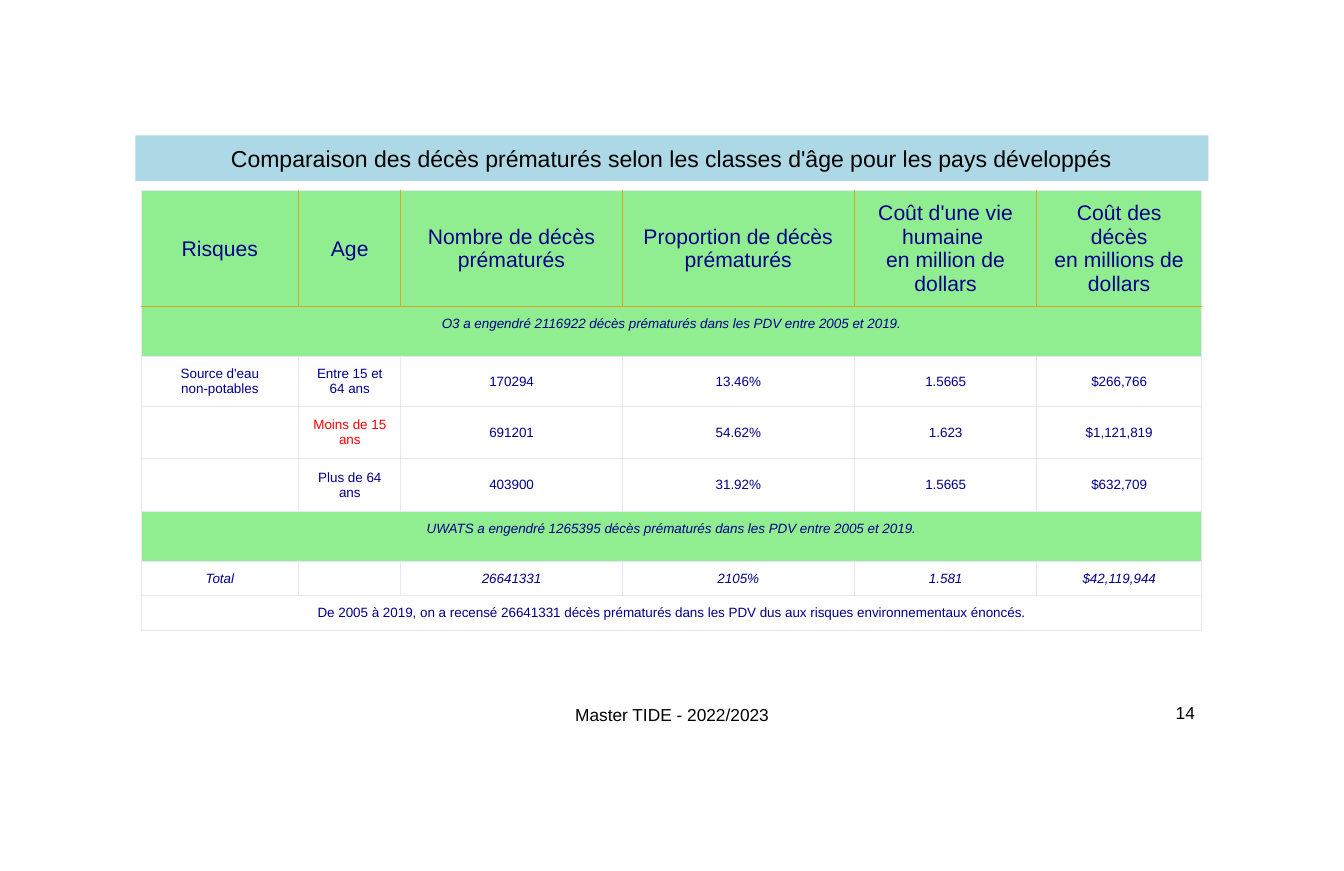
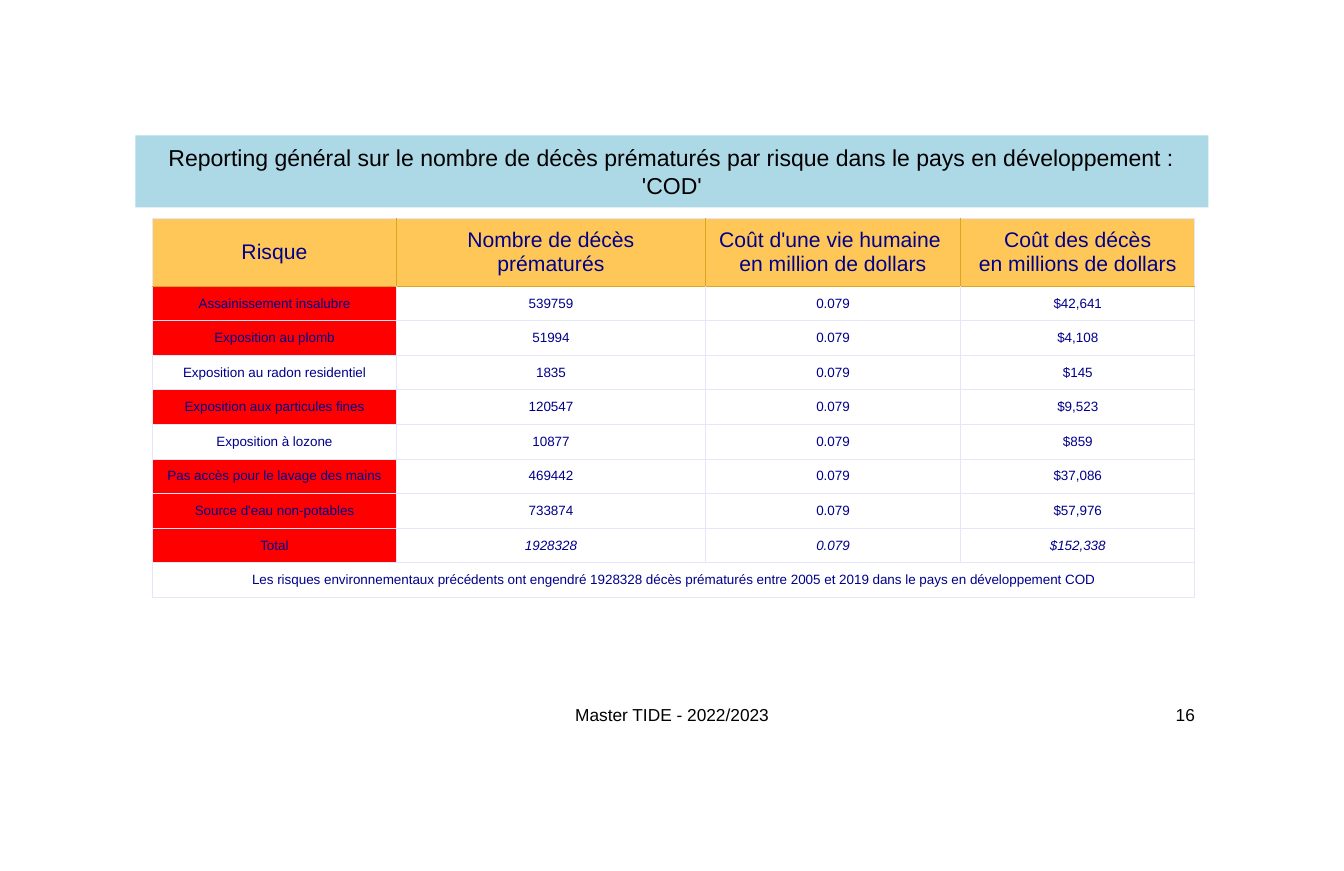
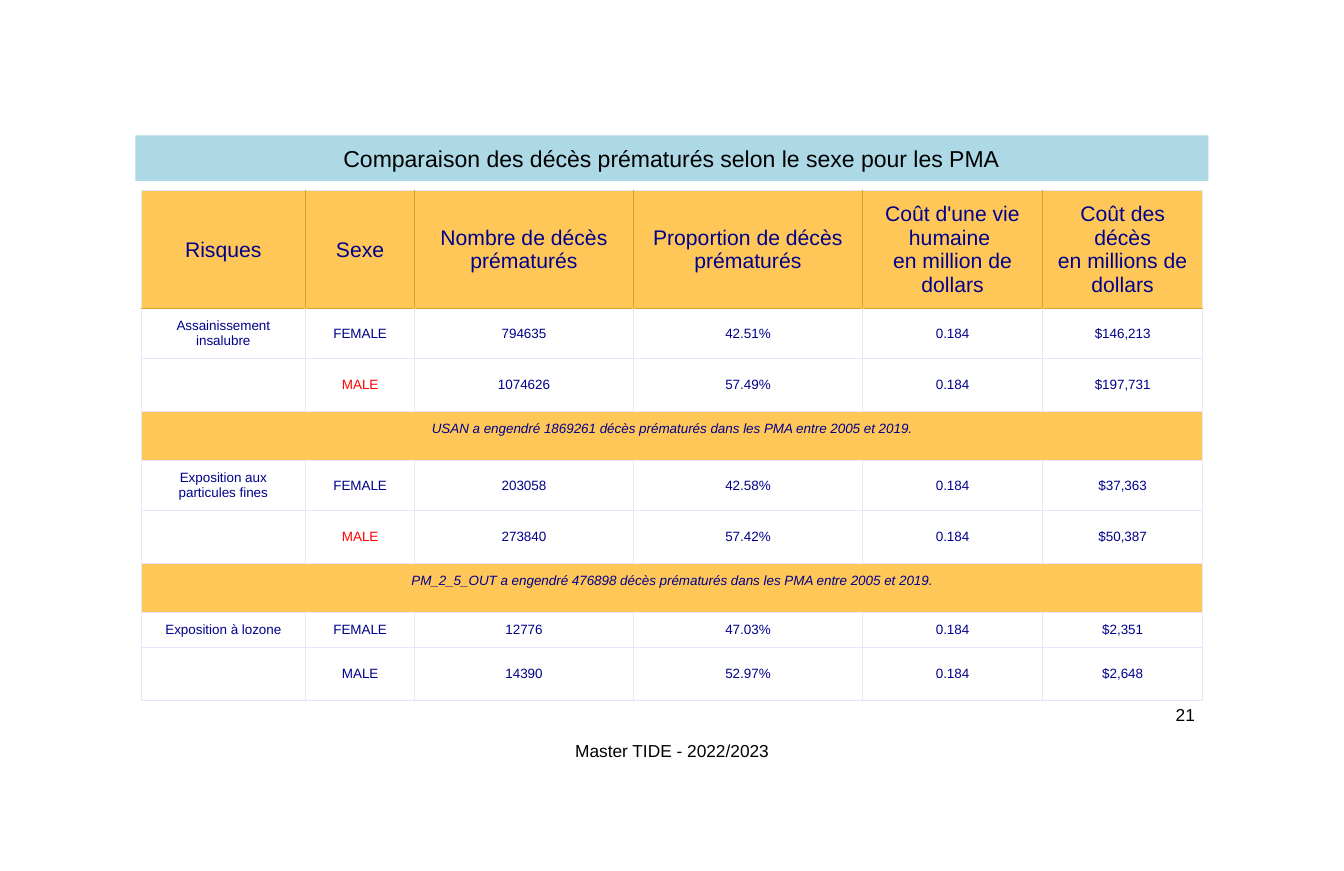
from dataclasses import dataclass

from lxml import etree
from pptx import Presentation
from pptx.dml.color import RGBColor
from pptx.enum.shapes import MSO_SHAPE
from pptx.enum.text import MSO_ANCHOR, PP_ALIGN
from pptx.oxml.ns import qn
from pptx.util import Inches, Pt

RECT = MSO_SHAPE.RECTANGLE
MIDDLE, TOP = MSO_ANCHOR.MIDDLE, MSO_ANCHOR.TOP
CENTER, RIGHT = PP_ALIGN.CENTER, PP_ALIGN.RIGHT

BLACK = RGBColor(0x00, 0x00, 0x00)
NAVY = RGBColor(0x00, 0x00, 0x8B)
RED = RGBColor(0xFF, 0x00, 0x00)
SKY = RGBColor(0xAD, 0xD8, 0xE6)
GREEN = RGBColor(0x90, 0xEE, 0x90)
AMBER = RGBColor(0xFF, 0xC7, 0x57)
GOLD = RGBColor(0xDA, 0xA5, 0x20)
PALE = RGBColor(0xE6, 0xE6, 0xFA)

FONT = "Arial"
FOOTER = "Master TIDE - 2022/2023"
LEFT, WIDTH = 0.98, 7.76
SIDE, EDGE, LINE = 0.07, 0.06, 0.11


@dataclass
class Row:
    high: float
    cells: list[str]
    band: bool = False
    slant: bool = False
    alert: bool = False
    flag: bool = False


@dataclass
class Page:
    title: str
    deep: float
    left: float
    top: float
    tint: RGBColor
    cols: list[float]
    rows: list[Row]
    number: str
    anchor: MSO_ANCHOR = MIDDLE
    foot: float = 5.03


def write(frame, text: str, size: float, color: RGBColor,
          align: PP_ALIGN = CENTER, slant: bool = False) -> None:
    para = frame.paragraphs[0]
    para.alignment = align
    for i, line in enumerate(text.split("\n") if text else []):
        if i:
            para.add_line_break()
        run = para.add_run()
        run.text = line
        font = run.font
        font.name, font.size, font.italic = FONT, Pt(size), slant
        font.color.rgb = color
    if not text:
        etree.SubElement(para._p, qn("a:endParaRPr"), sz=str(int(size * 100)))


def border(cell, side: str, color: RGBColor) -> None:
    line = etree.SubElement(cell._tc.get_or_add_tcPr(), qn("a:ln" + side),
                            w=str(Pt(0.5)))
    fill = etree.SubElement(line, qn("a:solidFill"))
    etree.SubElement(fill, qn("a:srgbClr"), val=str(color))


def paint(cell, color: RGBColor | None) -> None:
    if color is None:
        cell.fill.background()
    else:
        cell.fill.solid()
        cell.fill.fore_color.rgb = color


def label(slide, text: str, left: float, top: float, width: float,
          align: PP_ALIGN, anchor: MSO_ANCHOR) -> None:
    box = slide.shapes.add_textbox(Inches(left), Inches(top),
                                   Inches(width), Inches(0.28))
    frame = box.text_frame
    frame.word_wrap = True
    frame.vertical_anchor = anchor
    write(frame, text, 9, BLACK, align)


def banner(slide, page: Page) -> None:
    shape = slide.shapes.add_shape(RECT, Inches(LEFT), Inches(0.98),
                                   Inches(WIDTH), Inches(page.deep))
    shape.shadow.inherit = False
    shape.fill.solid()
    shape.fill.fore_color.rgb = SKY
    shape.line.fill.background()
    frame = shape.text_frame
    frame.word_wrap = True
    frame.vertical_anchor = MIDDLE
    write(frame, page.title, 12, BLACK)


def grid(slide, page: Page) -> None:
    count = len(page.cols)
    table = slide.shapes.add_table(
        len(page.rows), count, Inches(page.left), Inches(page.top),
        Inches(sum(page.cols)), Inches(sum(r.high for r in page.rows))).table
    table.first_row = table.horz_banding = False
    for col, width in zip(table.columns, page.cols):
        col.width = Inches(width)
    for y, row in enumerate(page.rows):
        table.rows[y].height = Inches(row.high)
        head = y == 0
        if len(row.cells) == 1:
            table.cell(y, 0).merge(table.cell(y, count - 1))
        texts = row.cells + [""] * (count - len(row.cells))
        for x, text in enumerate(texts):
            cell = table.cell(y, x)
            cell.vertical_anchor = MIDDLE
            cell.margin_left = cell.margin_right = Inches(SIDE)
            cell.margin_top = Inches(EDGE)
            cell.margin_bottom = Inches(EDGE + LINE if row.band else EDGE)
            border(cell, "L", GOLD if head and x else PALE)
            border(cell, "R", GOLD if head and x < count - 1 else PALE)
            border(cell, "T", GOLD if y == 1 else PALE)
            border(cell, "B", GOLD if head else PALE)
            mark = row.flag and x == 0
            paint(cell, RED if mark else page.tint if head or row.band else None)
            write(cell.text_frame, text, 11 if head else 7,
                  RED if row.alert and x == 1 else NAVY,
                  slant=(row.slant or row.band) and not mark)


def draw(deck, page: Page) -> None:
    slide = deck.slides.add_slide(deck.slide_layouts[6])
    banner(slide, page)
    grid(slide, page)
    label(slide, FOOTER, 2.92, page.foot, 3.88, CENTER, MIDDLE)
    label(slide, page.number, 6.8, 5.03, 1.94, RIGHT, page.anchor)


def header(group: str) -> Row:
    return Row(0.84, ["Risques", group, "Nombre de décès\nprématurés",
                      "Proportion de décès\nprématurés",
                      "Coût d'une vie\nhumaine \nen million de\ndollars",
                      "Coût des\ndécès\nen millions de\ndollars"])


def recap(code: str, deaths: str, zone: str) -> Row:
    return Row(0.36, [f"{code} a engendré {deaths} décès prématurés dans les "
                      f"{zone} entre 2005 et 2019."], band=True)


def risk(name: str, deaths: str, cost: str, flag: bool = True,
         slant: bool = False) -> Row:
    return Row(0.25, [name, deaths, "0.079", cost], flag=flag, slant=slant)


PAGES = [
    Page("Comparaison des décès prématurés selon les classes d'âge pour les pays développés",
         0.33, 1.02, 1.38, GREEN, [1.14, 0.74, 1.6, 1.68, 1.32, 1.19], [
             header("Age"),
             recap("O3", "2116922", "PDV"),
             Row(0.36, ["Source d'eau\nnon-potables", "Entre 15 et\n64 ans",
                        "170294", "13.46%", "1.5665", "$266,766"]),
             Row(0.38, ["", "Moins de 15\nans", "691201", "54.62%", "1.623",
                        "$1,121,819"], alert=True),
             Row(0.38, ["", "Plus de 64\nans", "403900", "31.92%", "1.5665",
                        "$632,709"]),
             recap("UWATS", "1265395", "PDV"),
             Row(0.25, ["Total", "", "26641331", "2105%", "1.581",
                        "$42,119,944"], slant=True),
             Row(0.25, ["De 2005 à 2019, on a recensé 26641331 décès prématurés "
                        "dans les PDV dus aux risques environnementaux énoncés."]),
         ], "14", anchor=TOP),
    Page("Reporting général sur le nombre de décès prématurés par risque dans le "
         "pays en développement :\n'COD'",
         0.52, 1.1, 1.58, AMBER, [1.77, 2.23, 1.85, 1.69], [
             Row(0.49, ["Risque", "Nombre de décès\nprématurés",
                        "Coût d'une vie humaine \nen million de dollars",
                        "Coût des décès\nen millions de dollars"]),
             risk("Assainissement insalubre", "539759", "$42,641"),
             risk("Exposition au plomb", "51994", "$4,108"),
             risk("Exposition au radon residentiel", "1835", "$145", False),
             risk("Exposition aux particules fines", "120547", "$9,523"),
             risk("Exposition à lozone", "10877", "$859", False),
             risk("Pas accès pour le lavage des mains", "469442", "$37,086"),
             risk("Source d'eau non-potables", "733874", "$57,976"),
             risk("Total", "1928328", "$152,338", slant=True),
             Row(0.25, ["Les risques environnementaux précédents ont engendré "
                        "1928328 décès prématurés entre 2005 et 2019 dans le "
                        "pays en développement COD"]),
         ], "16"),
    Page("Comparaison des décès prématurés selon le sexe pour les PMA",
         0.33, 1.02, 1.38, AMBER, [1.19, 0.79, 1.58, 1.66, 1.3, 1.16], [
             header("Sexe"),
             Row(0.36, ["Assainissement\ninsalubre", "FEMALE", "794635",
                        "42.51%", "0.184", "$146,213"]),
             Row(0.38, ["", "MALE", "1074626", "57.49%", "0.184",
                        "$197,731"], alert=True),
             recap("USAN", "1869261", "PMA"),
             Row(0.36, ["Exposition aux\nparticules fines", "FEMALE", "203058",
                        "42.58%", "0.184", "$37,363"]),
             Row(0.38, ["", "MALE", "273840", "57.42%", "0.184",
                        "$50,387"], alert=True),
             recap("PM_2_5_OUT", "476898", "PMA"),
             Row(0.25, ["Exposition à lozone", "FEMALE", "12776", "47.03%",
                        "0.184", "$2,351"]),
             Row(0.38, ["", "MALE", "14390", "52.97%", "0.184", "$2,648"]),
         ], "21", foot=5.29),
]


def main() -> None:
    deck = Presentation()
    deck.slide_width, deck.slide_height = Inches(9.72), Inches(6.3)
    for page in PAGES:
        draw(deck, page)
    deck.save("out.pptx")


if __name__ == "__main__":
    main()
